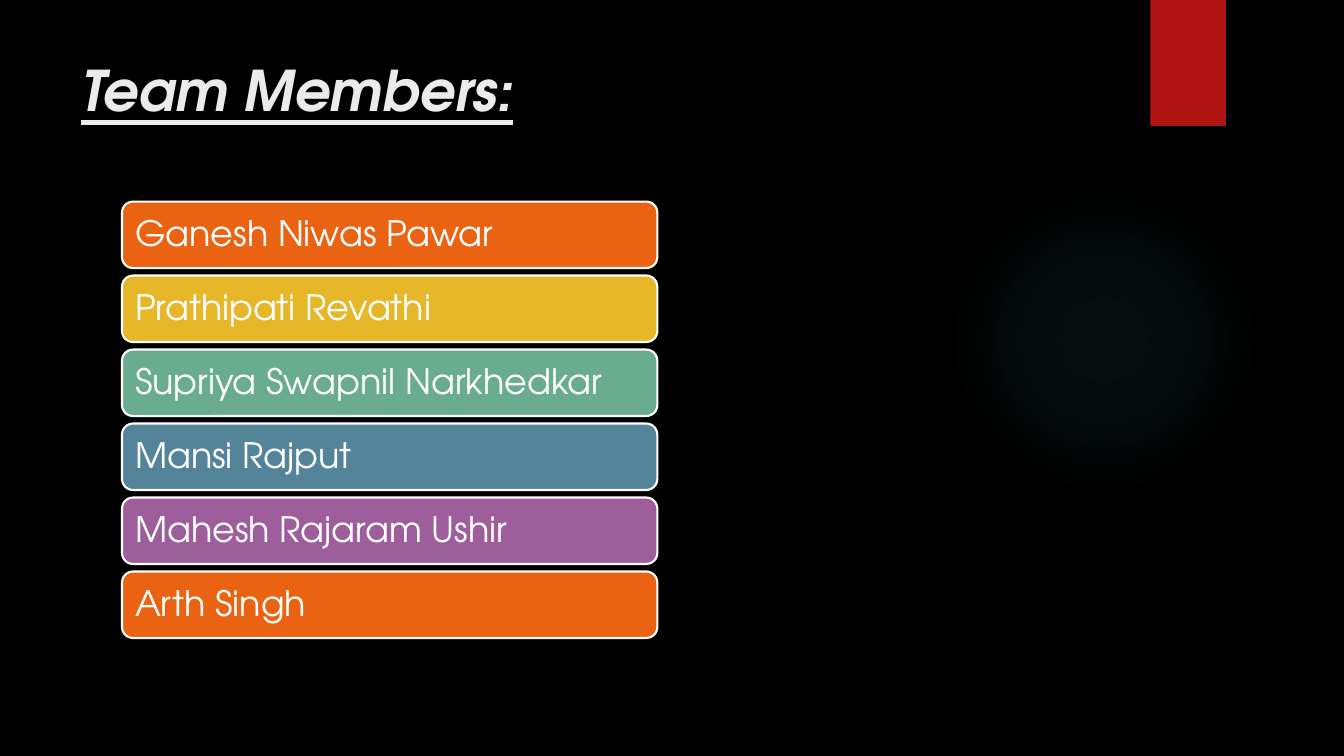
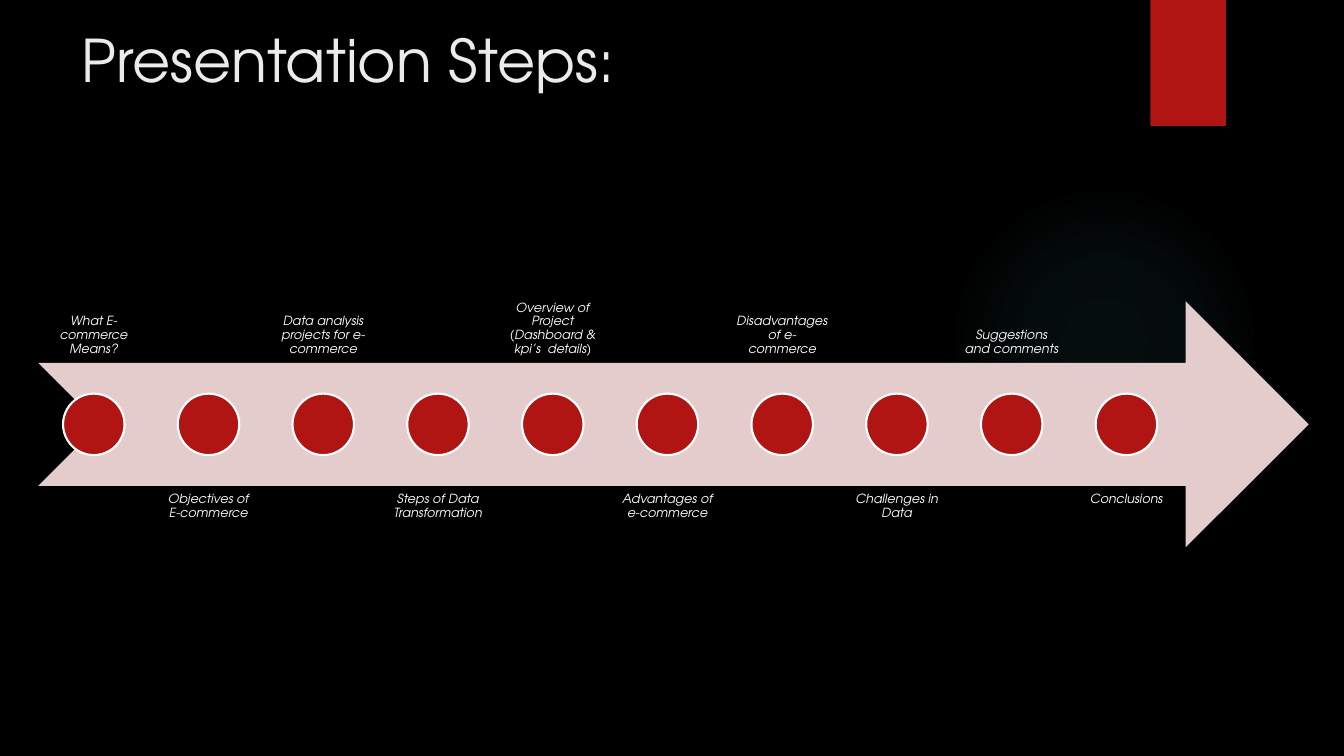
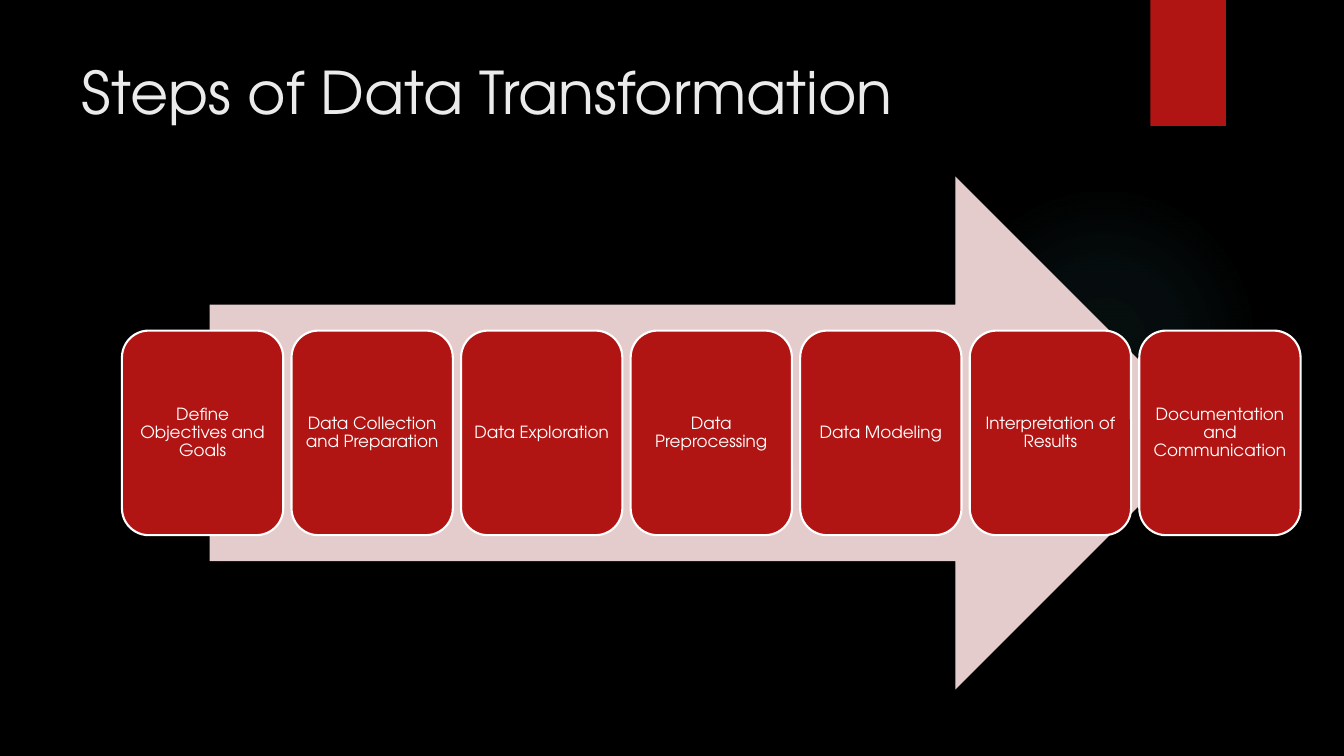
from collections import namedtuple

from lxml.etree import SubElement
from pptx import Presentation
from pptx.dml.color import RGBColor
from pptx.enum.shapes import MSO_SHAPE
from pptx.enum.text import MSO_ANCHOR, PP_ALIGN
from pptx.oxml.ns import qn
from pptx.util import Inches, Pt

Box = namedtuple("Box", "left top width height")

FONT = "TeX Gyre Adventor"
COLORS = {
    "background": "000000",
    "title": "EBEBEB",
    "text": "FFFFFF",
    "glow": "50B9C1",
    "red": "B01513",
    "arrow": "E4CCCC",
    "orange": "EA6312",
    "yellow": "E6B729",
    "green": "6AAC90",
    "blue": "54849A",
    "purple": "9E5E9B",
}
GLOW_STOPS = [(0, 7), (36, 6), (69, 0)]

MEMBERS = [
    ("Ganesh Niwas Pawar", "orange"),
    ("Prathipati Revathi", "yellow"),
    ("Supriya Swapnil Narkhedkar", "green"),
    ("Mansi Rajput", "blue"),
    ("Mahesh Rajaram Ushir", "purple"),
    ("Arth Singh", "orange"),
]
AGENDA = [
    "What E-commerce Means?",
    "Objectives of E-commerce",
    "Data analysis projects for e-commerce",
    "Steps of Data Transformation",
    "Overview of Project (Dashboard & kpi’s  details)",
    "Advantages of e-commerce",
    "Disadvantages of e-commerce",
    "Challenges in Data",
    "Suggestions and comments",
    "Conclusions",
]
STEPS = [
    "Define Objectives and Goals",
    "Data Collection and Preparation",
    "Data Exploration",
    "Data Preprocessing",
    "Data Modeling",
    "Interpretation of Results",
    "Documentation and Communication",
]


def color(name):
    """Return the named colour."""
    return RGBColor.from_string(COLORS[name])


def set_all(target, values):
    """Set each attribute in values on the target."""
    for name, value in values.items():
        setattr(target, name, value)


def write_text(shape, text, size, ink="text", inset=0.1, align=PP_ALIGN.LEFT,
               anchor=MSO_ANCHOR.MIDDLE, spacing=0.9, **style):
    """Write one formatted paragraph into a shape or text box."""
    margin = Inches(inset)
    frame = shape.text_frame
    set_all(frame, {
        "word_wrap": True, "vertical_anchor": anchor,
        "margin_left": margin, "margin_right": margin,
        "margin_top": margin, "margin_bottom": margin,
    })
    paragraph = frame.paragraphs[0]
    set_all(paragraph, {"alignment": align, "line_spacing": spacing})
    run = paragraph.add_run()
    run.text = text
    set_all(run.font, {"name": FONT, "size": Pt(size), **style})
    run.font.color.rgb = color(ink)


def add_text(slide, box, text, size, **style):
    """Add a text box."""
    shape = slide.shapes.add_textbox(*map(Inches, box))
    write_text(shape, text, size, **style)


def add_shape(slide, kind, box, fill, outlined=False):
    """Add a flat preset shape, with a white outline if asked."""
    shape = slide.shapes.add_shape(kind, *map(Inches, box))
    shape.shadow.inherit = False
    shape.fill.solid()
    shape.fill.fore_color.rgb = color(fill)
    if outlined:
        shape.line.color.rgb = color("text")
        shape.line.width = Pt(1.5)
    else:
        shape.line.fill.background()
    return shape


def add_glow(slide, box):
    """Add a faint circular glow that fades outwards."""
    shape = add_shape(slide, MSO_SHAPE.OVAL, box, "glow")
    shape.fill.gradient()
    gradient = shape._element.spPr.find(qn("a:gradFill"))
    for child in list(gradient):
        gradient.remove(child)
    stops = SubElement(gradient, qn("a:gsLst"))
    for position, opacity in GLOW_STOPS:
        stop = SubElement(stops, qn("a:gs"), pos=str(position * 1000))
        tint = SubElement(stop, qn("a:srgbClr"), val=COLORS["glow"])
        SubElement(tint, qn("a:alpha"), val=str(opacity * 1000))
    circle = SubElement(gradient, qn("a:path"), path="circle")
    SubElement(circle, qn("a:fillToRect"),
               {side: "50000" for side in "ltrb"})


def add_slide(presentation, title, title_box, size=42, **style):
    """Add a slide with the shared glow, ribbon and title."""
    slide = presentation.slides.add_slide(presentation.slide_layouts[6])
    add_glow(slide, Box(9.41, 1.83, 3.08, 3.08))
    add_shape(slide, MSO_SHAPE.RECTANGLE, Box(11.41, 0, 0.75, 1.25), "red")
    left, top, width, height = title_box
    add_text(slide, Box(left, top - 0.05, width, height), title, size,
             ink="title", anchor=MSO_ANCHOR.TOP, spacing=1.0, **style)
    return slide


def add_member_list(slide, box):
    """Stack one coloured bar per team member in the box."""
    bar_height = 0.66
    pitch = (box.height - bar_height) / (len(MEMBERS) - 1)
    for index, (name, fill) in enumerate(MEMBERS):
        bar_box = Box(box.left, box.top + index * pitch, box.width, bar_height)
        bar = add_shape(slide, MSO_SHAPE.ROUNDED_RECTANGLE, bar_box, fill, True)
        write_text(bar, name, 25)


def add_timeline(slide, box):
    """Draw a notched arrow with dots and labels alternating above and below."""
    add_shape(slide, MSO_SHAPE.NOTCHED_RIGHT_ARROW, box, "arrow")
    diameter, label_width, pitch = 0.61, 1.08, 1.138
    middle = box.top + box.height / 2
    shaft = box.height / 4
    sides = [
        (middle - shaft - box.height, MSO_ANCHOR.BOTTOM),
        (middle + shaft, MSO_ANCHOR.TOP),
    ]
    for index, text in enumerate(AGENDA):
        center = box.left + 0.55 + index * pitch
        label_top, anchor = sides[index % 2]
        label_box = Box(center - label_width / 2, label_top,
                        label_width, box.height)
        add_text(slide, label_box, text, 9, inset=0.07, anchor=anchor,
                 align=PP_ALIGN.CENTER, italic=True)
        dot_box = Box(center - diameter / 2, middle - diameter / 2,
                      diameter, diameter)
        add_shape(slide, MSO_SHAPE.OVAL, dot_box, "red", True)


def add_process(slide, box):
    """Draw a broad arrow with a row of step cards across its middle."""
    arrow_box = Box(box.left + 0.87, box.top, 9.94, box.height)
    add_shape(slide, MSO_SHAPE.RIGHT_ARROW, arrow_box, "arrow")
    card_width, card_height = 1.6, 2.03
    pitch = (box.width - card_width) / (len(STEPS) - 1)
    top = box.top + (box.height - card_height) / 2
    for index, text in enumerate(STEPS):
        card_box = Box(box.left + index * pitch, top, card_width, card_height)
        card = add_shape(slide, MSO_SHAPE.ROUNDED_RECTANGLE, card_box,
                         "red", True)
        write_text(card, text, 12, inset=0.05, align=PP_ALIGN.CENTER)


def main():
    """Build and save the presentation."""
    presentation = Presentation()
    set_all(presentation, {"slide_width": Inches(13.33),
                           "slide_height": Inches(7.5)})
    background = presentation.slide_master.background.fill
    background.solid()
    background.fore_color.rgb = color("background")

    team = add_slide(presentation, "Team Members:", Box(0.71, 0.5, 11.02, 0.87),
                     size=40, bold=True, italic=True, underline=True)
    add_member_list(team, Box(1.21, 2, 5.31, 4.33))

    agenda = add_slide(presentation, "Presentation Steps:",
                       Box(0.71, 0.19, 10.29, 1.03))
    add_timeline(agenda, Box(0.38, 2.99, 12.6, 2.44))

    transformation = add_slide(presentation, "Steps of Data Transformation",
                               Box(0.71, 0.5, 10.29, 1.53))
    add_process(transformation, Box(1.21, 1.75, 11.69, 5.09))

    presentation.save("out.pptx")


if __name__ == "__main__":
    main()
